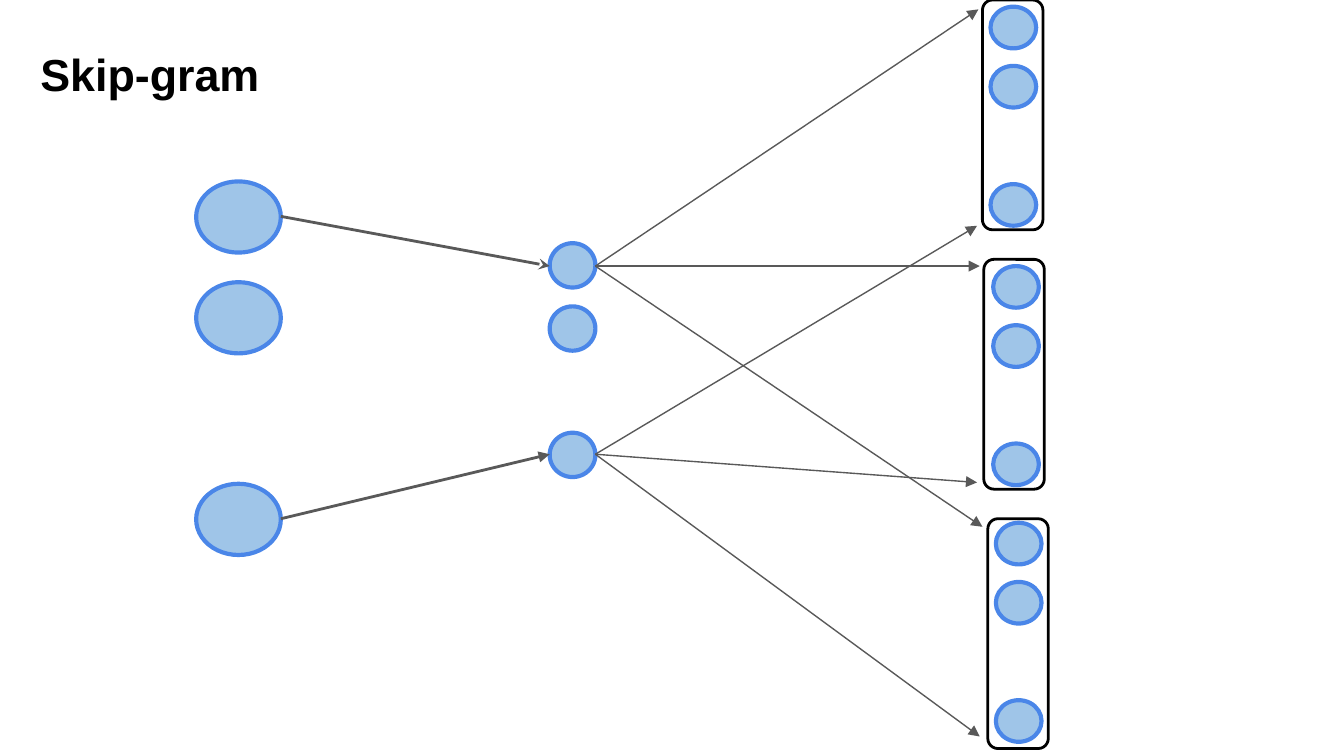
from lxml import etree
from pptx import Presentation
from pptx.dml.color import RGBColor
from pptx.enum.shapes import MSO_CONNECTOR as CONNECTOR, MSO_SHAPE as SHAPE
from pptx.enum.text import MSO_ANCHOR, MSO_AUTO_SIZE, PP_ALIGN
from pptx.oxml.ns import qn
from pptx.util import Inches, Pt

COLORS = {"node": "9FC5E8", "node_line": "4A86E8", "arrow": "595959", "black": "000000"}
NODE_ROWS = (0, 1, 3)  # row 2 stays open for the omitted nodes


def color(name):
    return RGBColor.from_string(COLORS[name])


def add_title(slide, left, top, width, height):
    title = slide.shapes.title
    title.left, title.top, title.width, title.height = map(Inches, (left, top, width, height))
    frame = title.text_frame
    frame.text = "Skip-gram"
    frame.auto_size = MSO_AUTO_SIZE.NONE
    frame.word_wrap = False
    frame.vertical_anchor = MSO_ANCHOR.TOP
    frame.margin_left = frame.margin_right = Inches(0.1)
    frame.margin_top = frame.margin_bottom = Inches(0.1)
    heading = frame.paragraphs[0]
    heading.alignment = PP_ALIGN.LEFT
    heading.line_spacing = 1.0
    heading.font.name, heading.font.size, heading.font.bold = "Arial", Pt(24), True
    heading.font.color.rgb = color("black")


def add_layer(slide, left, top, width, height, pitch):
    """Stack nodes of the given size, one per entry of NODE_ROWS."""
    for row in NODE_ROWS:
        node = slide.shapes.add_shape(
            SHAPE.OVAL, Inches(left), Inches(top + row * pitch), Inches(width), Inches(height))
        node.shadow.inherit = False
        node.fill.solid()
        node.fill.fore_color.rgb = color("node")
        node.line.color.rgb = color("node_line")
        node.line.width = Pt(2.25)


def add_output_word(slide, left, top, node_left, node_top):
    """Draw one context word: a frame and the nodes offset inside it."""
    add_layer(slide, left + node_left, top + node_top, 0.34, 0.31, 0.44)
    frame = slide.shapes.add_shape(
        SHAPE.ROUNDED_RECTANGLE, Inches(left), Inches(top), Inches(0.45), Inches(1.71))
    frame.shadow.inherit = False
    frame.fill.background()
    frame.line.color.rgb = color("black")
    frame.line.width = Pt(1.5)


def add_arrow(slide, start, end, weight, head="triangle"):
    arrow = slide.shapes.add_connector(
        CONNECTOR.STRAIGHT, *(Inches(value) for value in (*start, *end)))
    arrow.line.color.rgb = color("arrow")
    arrow.line.width = Pt(weight)
    line = arrow._element.spPr.find(qn("a:ln"))
    etree.SubElement(line, qn("a:tailEnd"), type=head)
    etree.SubElement(arrow._element.spPr, qn("a:effectLst"))


def add_network(slide):
    add_layer(slide, 1.46, 1.35, 0.63, 0.53, 0.75)
    add_layer(slide, 4.09, 1.81, 0.34, 0.33, 0.47)
    for word in ((7.31, 0, 0.06, 0.05), (7.32, 1.93, 0.07, 0.05), (7.35, 3.86, 0.06, 0.03)):
        add_output_word(slide, *word)

    first_hidden, last_hidden = 1.98, 3.38
    add_arrow(slide, (2.09, 1.61), (4.09, first_hidden), 1.5, "stealth")
    add_arrow(slide, (2.09, 3.86), (4.09, last_hidden), 1.5)
    output_ends = {
        first_hidden: ((7.28, 0.07), (7.29, 1.98), (7.31, 3.92)),
        last_hidden: ((7.27, 1.68), (7.27, 3.59), (7.29, 5.48)),
    }
    for hidden, ends in output_ends.items():
        for end in ends:
            add_arrow(slide, (4.43, hidden), end, 0.75)


def main():
    deck = Presentation()
    deck.slide_width = Inches(10)
    deck.slide_height = deck.slide_width * 9 // 16
    slide = deck.slides.add_slide(deck.slide_layouts.get_by_name("Title Only"))
    add_title(slide, 0.2, 0.25, 1.84, 0.58)
    add_network(slide)
    deck.save("out.pptx")


if __name__ == "__main__":
    main()
